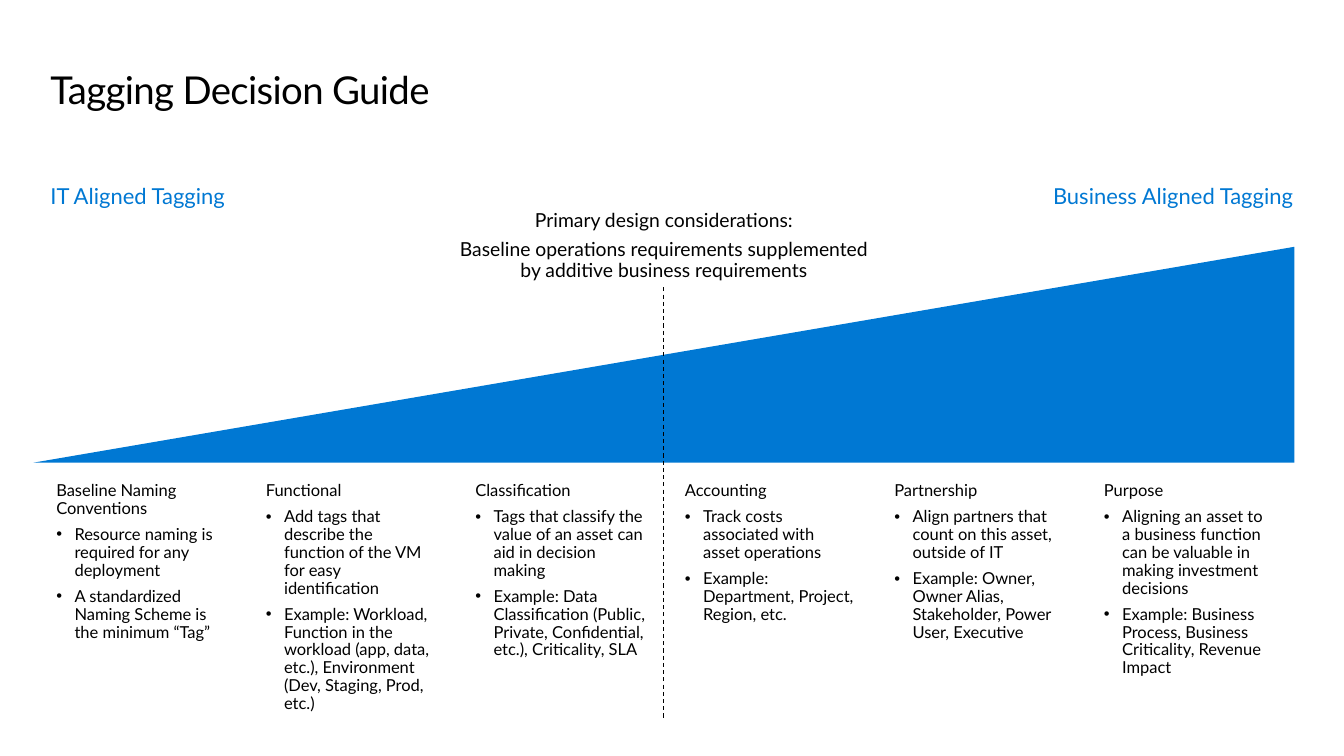
from lxml.etree import SubElement
from pptx import Presentation
from pptx.dml.color import RGBColor
from pptx.enum.dml import MSO_LINE
from pptx.enum.shapes import MSO_CONNECTOR, MSO_SHAPE
from pptx.enum.text import PP_ALIGN
from pptx.oxml.ns import qn
from pptx.util import Cm, Pt

BLUE = RGBColor(0x00, 0x78, 0xD3)
BLACK = RGBColor(0x00, 0x00, 0x00)
FONT = "Lato"

deck = Presentation()
deck.slide_width, deck.slide_height = Cm(33.87), Cm(19.05)
page = deck.slides.add_slide(deck.slide_layouts[6])


def add_text(left, top, width, height, lines, size, color=BLACK,
             align=PP_ALIGN.LEFT, wrap=True, bulleted=False):
    """Add a text box; when bulleted, every line after the first gets a bullet."""
    box = page.shapes.add_textbox(Cm(left), Cm(top), Cm(width), Cm(height))
    frame = box.text_frame
    frame.word_wrap = wrap
    for index, line in enumerate(lines):
        para = frame.paragraphs[0] if index == 0 else frame.add_paragraph()
        para.alignment = align
        para.line_spacing = 0.9
        para.space_after = Pt(6)
        if bulleted and index > 0:
            properties = para._p.get_or_add_pPr()
            properties.set("marL", str(Cm(0.46)))
            properties.set("indent", str(-Cm(0.46)))
            SubElement(properties, qn("a:buFont"), typeface="Arial")
            SubElement(properties, qn("a:buChar"), char="•")
        span = para.add_run()
        span.text = line
        span.font.name = FONT
        span.font.size = Pt(size)
        span.font.color.rgb = color
    return box


# Title
title = add_text(1.27, 1.73, 31.39, 1.12, ["Tagging Decision Guide"], 27.4)
frame = title.text_frame
frame.margin_left = frame.margin_right = frame.margin_top = frame.margin_bottom = 0
heading = frame.paragraphs[0]
heading.line_spacing = Pt(31.4)
heading.space_after = Pt(0)
heading.runs[0].font._element.set("spc", "-45")

# Labels at both ends of the scale and the note in the middle
add_text(1.02, 4.55, 5.26, 0.86, ["IT Aligned Tagging"], 15.7, BLUE, wrap=False)
add_text(25.88, 4.55, 6.96, 0.86, ["Business Aligned Tagging"], 15.7, BLUE,
         PP_ALIGN.RIGHT, wrap=False)
add_text(11.14, 5.19, 11.18, 2.06, [
    "Primary design considerations:",
    "Baseline operations requirements supplemented by additive business requirements",
], 13.8, align=PP_ALIGN.CENTER)

# Wedge rising towards business alignment
wedge = page.shapes.add_shape(MSO_SHAPE.RIGHT_TRIANGLE,
                              Cm(0.84), Cm(6.22), Cm(31.78), Cm(5.44))
wedge._element.spPr.xfrm.set("flipH", "1")
wedge.shadow.inherit = False
wedge.fill.solid()
wedge.fill.fore_color.rgb = BLUE
wedge.line.fill.background()

# Dashed divider
divider = page.shapes.add_connector(MSO_CONNECTOR.STRAIGHT,
                                    Cm(16.73), Cm(7.24), Cm(16.73), Cm(18.14))
divider.line.color.rgb = BLACK
divider.line.width = Pt(0.75)
divider.line.dash_style = MSO_LINE.DASH
SubElement(divider._element.spPr, qn("a:effectLst"))

# Six columns of tagging types: heading, purpose, example, box height
tagging_types = [
    ("Baseline Naming Conventions",
     "Resource naming is required for any deployment",
     "A standardized Naming Scheme is the minimum “Tag”", 4.29),
    ("Functional",
     "Add tags that describe the function of the VM for easy identification",
     "Example: Workload, Function in the workload (app, data, etc.), "
     "Environment (Dev, Staging, Prod, etc.)", 6.12),
    ("Classification",
     "Tags that classify the value of an asset can aid in decision making",
     "Example: Data Classification (Public, Private, Confidential, etc.), "
     "Criticality, SLA", 4.75),
    ("Accounting",
     "Track costs associated with asset operations",
     "Example: Department, Project, Region, etc.", 3.84),
    ("Partnership",
     "Align partners that count on this asset, outside of IT",
     "Example: Owner, Owner Alias, Stakeholder, Power User, Executive", 4.29),
    ("Purpose",
     "Aligning an asset to a business function can be valuable in making "
     "investment decisions",
     "Example: Business Process, Business Criticality, Revenue Impact", 5.21),
]
for column, (*lines, height) in enumerate(tagging_types):
    add_text(1.17 + column * 5.28, 12.03, 4.8, height, lines, 11.8, bulleted=True)

deck.save("out.pptx")
